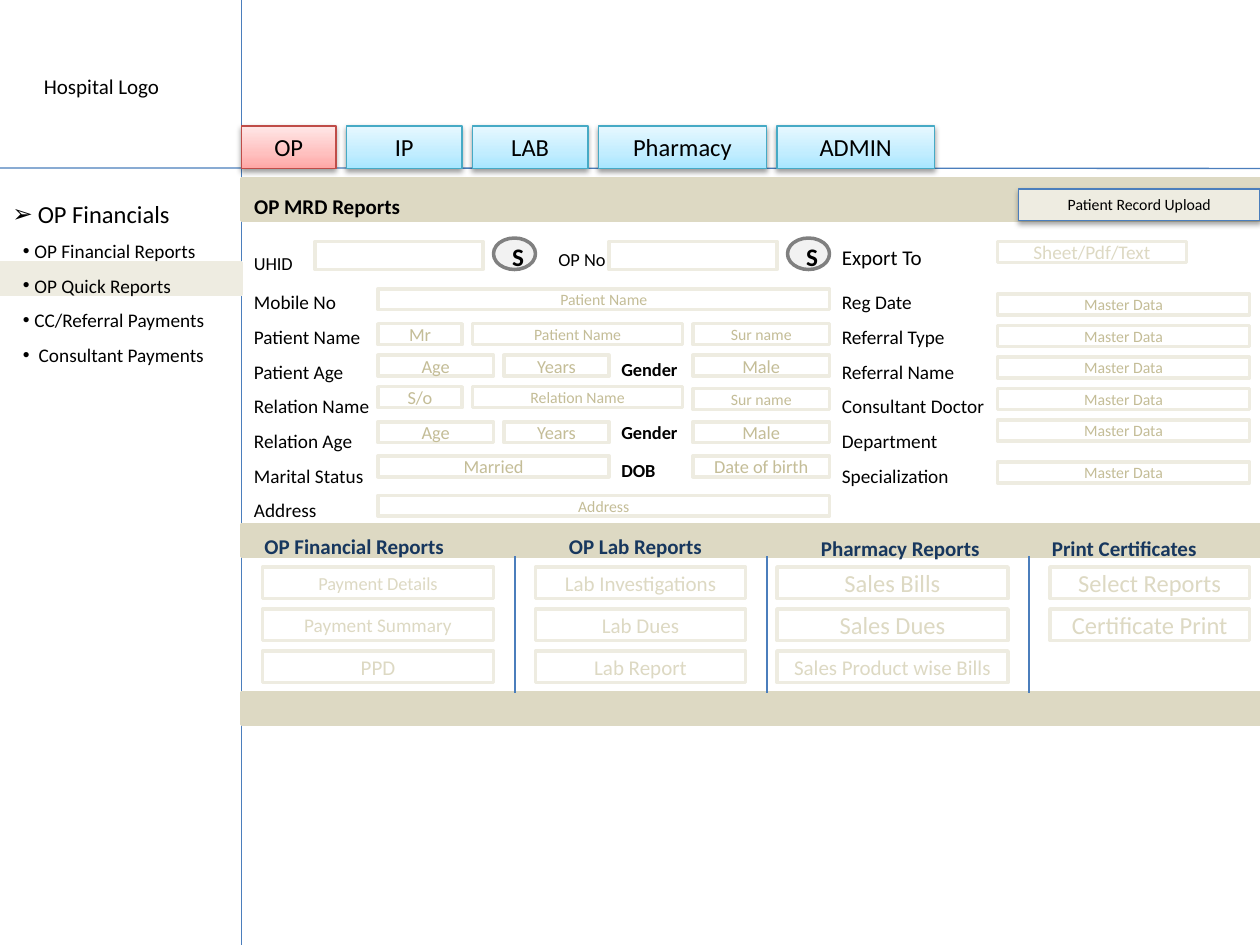
import copy
import pptx
import pptx.dml.color
import pptx.enum.shapes
import pptx.enum.text
import pptx.oxml
import pptx.oxml.ns
import pptx.util

Pt = pptx.util.Pt
SHAPES = pptx.enum.shapes.MSO_SHAPE
ALIGN = pptx.enum.text.PP_ALIGN
ANCHOR = pptx.enum.text.MSO_ANCHOR
FIT = pptx.enum.text.MSO_AUTO_SIZE

THEME = {
    "font": "Calibri", "bullet_font": "Arial", "black": "000000", "white": "FFFFFF",
    "band": "DDD9C3", "pale": "EEECE1", "hint": "C4BD97", "navy": "17375E", "blue": "4B7EBC",
    "button": "F2F2F2", "button_line": "808080",
    "red_tab": ("BF4C48", ("FFA6A5", "FFC0BF", "FFE7E7")),
    "blue_tab": ("46AAC5", ("A7E6FF", "C1EDFF", "E7F8FF")),
    "small": 9, "field": 10.5, "label": 11, "heading": 12, "large": 14, "search": 18,
}
SMALL, FIELD, LABEL = THEME["small"], THEME["field"], THEME["label"]
HEADING, LARGE = THEME["heading"], THEME["large"]

TABS = [("OP", 138, 54), ("IP", 198, 66), ("LAB", 270, 66), ("Pharmacy", 342, 96), ("ADMIN", 444, 90)]
MENU = [("OP Financial Reports", 6.5), ("OP Quick Reports", 6.5),
        ("CC/Referral Payments", 6.5), ("Consultant Payments", 9)]
PATIENT_LABELS = ["Mobile No", "Patient Name", "Patient Age", "Relation Name",
                  "Relation Age", "Marital Status", "Address"]
REFERRAL_LABELS = ["Reg Date", "Referral Type", "Referral Name", "Consultant Doctor",
                   "Department", "Specialization"]
AGE_ROW = [("Age", 216, 66, FIELD), ("Years", 288, 60, FIELD), ("Male", 396, 78, FIELD)]
FIELD_ROWS = [
    (165, [("Patient Name", 216, 258, SMALL)]),
    (185, [("Mr", 216, 48, FIELD), ("Patient Name", 270, 120, SMALL), ("Sur name", 396, 78, SMALL)]),
    (203, AGE_ROW),
    (221, [("S/o", 216, 48, FIELD), ("Relation Name", 270, 120, SMALL)]),
    (222, [("Sur name", 396, 78, SMALL)]),
    (241, AGE_ROW),
    (260.5, [("Married", 216, 132, FIELD), ("Date of birth", 396, 78, FIELD)]),
    (283, [("Address", 216, 258, SMALL)]),
]
BOLD_LABELS = [("Gender", 201, 47), ("Gender", 237, 47), ("DOB", 259, 34.5)]
MASTER_TOPS = [168, 186, 204, 222, 240, 264]
SEARCHES = [("UHID", 138, 134, 66, 180, 282), ("OP No", 312, 132, 54, 348, 450)]
REPORTS = [
    ("OP Financial Reports", 144, 294, 119, 150, 132,
     [("Payment Details", FIELD), ("Payment Summary", LABEL), ("PPD", HEADING)]),
    ("OP Lab Reports", 318, 294, 91.5, 306, 120,
     [("Lab Investigations", HEADING), ("Lab Dues", HEADING), ("Lab Report", HEADING)]),
    ("Pharmacy Reports", 462, 295, 106, 444, 132,
     [("Sales Bills", LARGE), ("Sales Dues", LARGE), ("Sales Product wise Bills", HEADING)]),
    ("Print Certificates", 594, 295, 98, 600, 114,
     [("Select Reports", LARGE), ("Certificate Print", LARGE)]),
]
DIVIDERS = [294.3, 438.3, 588]


def color(value):
    return pptx.dml.color.RGBColor.from_string(value)


def place(shape, left, top, width, height):
    shape.left, shape.top, shape.width, shape.height = Pt(left), Pt(top), Pt(width), Pt(height)


def write(shape, lines, size=LABEL, ink="black", bold=False, align=ALIGN.LEFT,
          anchor=ANCHOR.TOP, spacing=None, wrap=True, grow=False, bullet=None, indents=None):
    namespace = pptx.oxml.ns.nsdecls("a")
    frame = shape.text_frame
    frame.word_wrap = wrap
    frame.vertical_anchor = anchor
    frame.auto_size = FIT.SHAPE_TO_FIT_TEXT if grow else FIT.NONE
    for index, line in enumerate(lines):
        paragraph = frame.paragraphs[0] if index == 0 else frame.add_paragraph()
        paragraph.alignment = align
        if spacing:
            paragraph.line_spacing = spacing
        if bullet:
            properties = paragraph._p.get_or_add_pPr()
            properties.set("marL", str(Pt(indents[index])))
            properties.set("indent", str(-Pt(indents[index])))
            for mark in (f'buFont {namespace} typeface="{THEME["bullet_font"]}"',
                         f'buChar {namespace} char="{bullet}"'):
                properties.append(pptx.oxml.parse_xml(f"<a:{mark}/>"))
        run = paragraph.add_run()
        run.text = line
        run.font.name, run.font.size, run.font.bold = THEME["font"], Pt(size), bold
        run.font.color.rgb = color(THEME[ink])


def label(slide, lines, left, top, width, height, **options):
    shape = slide.shapes.add_textbox(0, 0, 0, 0)
    place(shape, left, top, width, height)
    write(shape, lines, grow=True, **options)


def box(slide, left, top, width, height, fill="white", line="pale", weight=2, kind=SHAPES.RECTANGLE):
    shape = slide.shapes.add_shape(kind, 0, 0, 0, 0)
    place(shape, left, top, width, height)
    shape.shadow.inherit = False
    shape.fill.solid()
    shape.fill.fore_color.rgb = color(THEME[fill])
    shape.line.color.rgb = color(THEME[line])
    shape.line.width = Pt(weight)
    return shape


def field(slide, text, left, top, width, height=12, size=SMALL, ink="hint"):
    shape = box(slide, left, top, width, height)
    write(shape, [text], size=size, ink=ink, align=ALIGN.CENTER, anchor=ANCHOR.MIDDLE)


def raised(slide, text, left, top, width, height, size, opacity):
    shape = box(slide, left, top, width, height, line="blue", fill="pale", weight=0.75)
    write(shape, [text], size=size, align=ALIGN.CENTER, grow=True)
    shadow = pptx.oxml.parse_xml(
        f'<a:outerShdw {pptx.oxml.ns.nsdecls("a")} blurRad="{Pt(3.1)}" dist="{Pt(1.6)}" dir="5400000" '
        f'rotWithShape="0"><a:srgbClr val="{THEME["black"]}"><a:alpha val="{opacity * 1000}"/>'
        f'</a:srgbClr></a:outerShdw>')
    shape._element.spPr.find(pptx.oxml.ns.qn("a:effectLst")).append(shadow)
    return shape


def tab(slide, text, left, width, style):
    outline, tones = style
    shape = raised(slide, text, left, 72, width, 24.25, LARGE, 38)
    shape.line.color.rgb = color(outline)
    shape.fill.gradient()
    shape.fill.gradient_angle = 90
    stops = shape._element.spPr.find(".//" + pptx.oxml.ns.qn("a:gsLst"))
    stops.append(copy.deepcopy(stops[0]))
    for stop, position, tone in zip(shape.fill.gradient_stops, (0, 0.35, 1), tones):
        stop.position = position
        stop.color.rgb = color(tone)


def rule(slide, start_x, start_y, end_x, end_y):
    line = slide.shapes.add_connector(pptx.enum.shapes.MSO_CONNECTOR.STRAIGHT,
                                      Pt(start_x), Pt(start_y), Pt(end_x), Pt(end_y))
    line.line.color.rgb = color(THEME["blue"])
    line.line.width = Pt(0.75)
    line._element.spPr.append(pptx.oxml.parse_xml(f'<a:effectLst {pptx.oxml.ns.nsdecls("a")}/>'))


def build_navigation(slide):
    rule(slide, 0, 96, 720, 96.25)
    rule(slide, 138, 0, 138, 540)
    label(slide, ["Hospital Logo"], 18, 38.5, 81.5, 21.75, size=HEADING, wrap=False)
    for index, (text, left, width) in enumerate(TABS):
        tab(slide, text, left, width, THEME["blue_tab" if index else "red_tab"])
    label(slide, ["OP Financials"], 0, 102, 105, 30, size=LARGE, spacing=1.5,
          wrap=False, bullet="➢", indents=[14.5])
    box(slide, 0, 150, 138, 18, fill="pale")
    texts, indents = zip(*MENU)
    label(slide, texts, 6, 126.5, 120, 87, spacing=1.5, wrap=False, bullet="•", indents=indents)


def build_form(slide):
    box(slide, 138, 102, 582, 24, fill="band", line="band")
    title = slide.shapes.title
    slide.shapes._spTree.append(title._element)
    place(title, 138, 99.5, 98.5, 29)
    write(title, ["OP MRD Reports"], size=HEADING, bold=True, spacing=1.5, wrap=False, grow=True)
    label(slide, PATIENT_LABELS, 138, 156, 90, 147, spacing=1.5)
    label(slide, REFERRAL_LABELS, 474, 156, 114, 127.5, spacing=1.5)
    for top, fields in FIELD_ROWS:
        for text, left, width, size in fields:
            field(slide, text, left, top, width, size=size)
    for text, top, width in BOLD_LABELS:
        label(slide, [text], 348, top, width, 20, size=FIELD, bold=True, wrap=False)
    for text, left, top, width, field_left, button_left in SEARCHES:
        box(slide, field_left, 138, 96, 16)
        button = box(slide, button_left, 136, 24, 18, fill="button", line="button_line", kind=SHAPES.OVAL)
        write(button, ["s"], size=THEME["search"], bold=True, align=ALIGN.CENTER, anchor=ANCHOR.MIDDLE)
        button.text_frame.paragraphs[0].runs[0].font._element.set("cap", "small")
        label(slide, [text], left, top, width, 25, size=FIELD, spacing=1.5)
    label(slide, ["Export To"], 474, 129, 60.5, 26.5, size=HEADING, spacing=1.5, wrap=False)
    field(slide, "Sheet/Pdf/Text", 570, 138, 108, size=LABEL, ink="band")
    for top in MASTER_TOPS:
        field(slide, "Master Data", 570, top, 144)
    raised(slide, "Patient Record Upload", 582, 108, 138, 18, SMALL, 35)


def build_reports(slide):
    for top in (300, 396):
        box(slide, 138, top, 582, 18, fill="band", line="band")
    for heading, left, top, width, button_left, button_width, buttons in REPORTS:
        label(slide, [heading], left, top, width, 27, size=HEADING, ink="navy", bold=True,
              spacing=1.5, wrap=False)
        for index, (text, size) in enumerate(buttons):
            field(slide, text, button_left, 324 + 24 * index, button_width, 18, size=size, ink="band")
    for left in DIVIDERS:
        rule(slide, left, 318, left, 396)


def main():
    presentation = pptx.Presentation()
    presentation.slide_width, presentation.slide_height = Pt(720), Pt(540)
    slide = presentation.slides.add_slide(presentation.slide_layouts[5])
    build_navigation(slide)
    build_form(slide)
    build_reports(slide)
    presentation.save("out.pptx")


if __name__ == "__main__":
    main()
